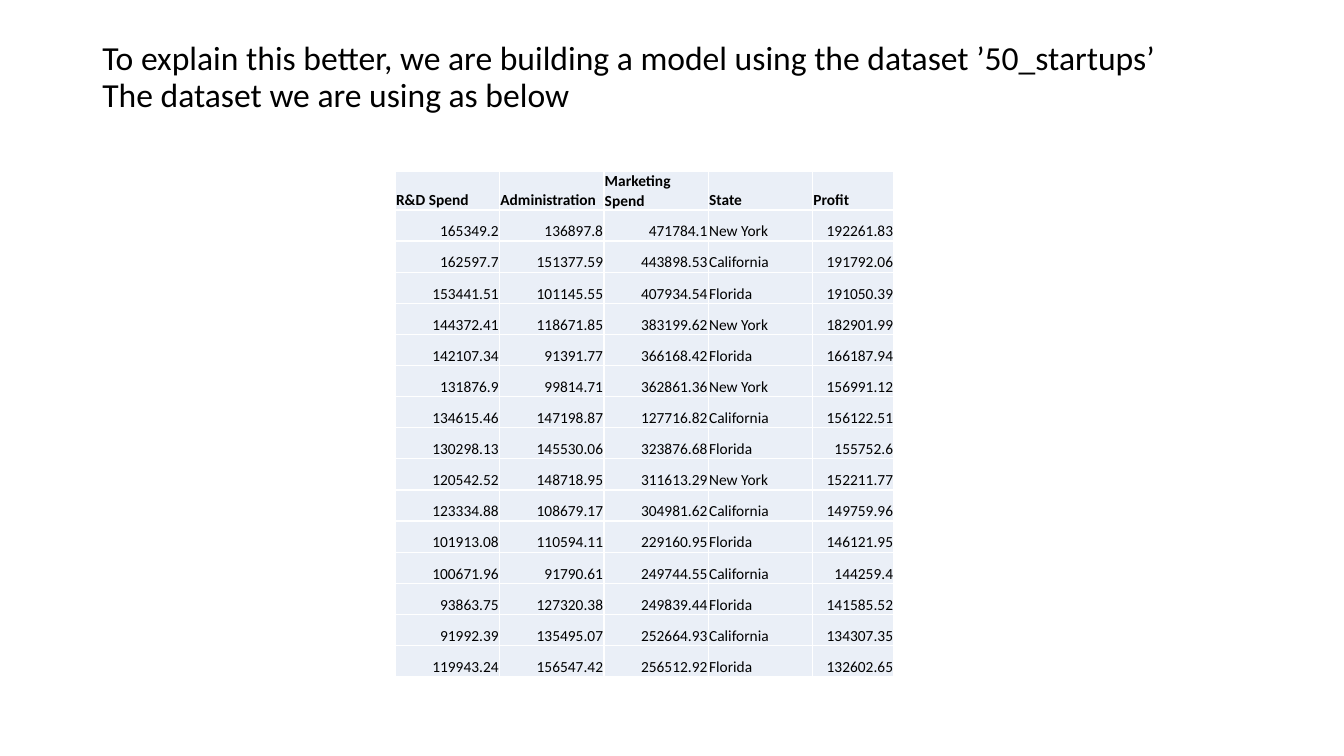
"""Build the slide that shows the 50_startups dataset as a table."""
from lxml import etree
from pptx import Presentation
from pptx.dml.color import RGBColor
from pptx.enum.text import MSO_ANCHOR, PP_ALIGN
from pptx.oxml.ns import qn
from pptx.util import Cm, Pt

TITLE_LINES = (
    "To explain this better, we are building a model using the dataset ’50_startups’",
    "The dataset we are using as below",
)
HEADERS = ("R&D Spend", "Administration", "Marketing Spend", "State", "Profit")
STARTUPS = (
    ("165349.2", "136897.8", "471784.1", "New York", "192261.83"),
    ("162597.7", "151377.59", "443898.53", "California", "191792.06"),
    ("153441.51", "101145.55", "407934.54", "Florida", "191050.39"),
    ("144372.41", "118671.85", "383199.62", "New York", "182901.99"),
    ("142107.34", "91391.77", "366168.42", "Florida", "166187.94"),
    ("131876.9", "99814.71", "362861.36", "New York", "156991.12"),
    ("134615.46", "147198.87", "127716.82", "California", "156122.51"),
    ("130298.13", "145530.06", "323876.68", "Florida", "155752.6"),
    ("120542.52", "148718.95", "311613.29", "New York", "152211.77"),
    ("123334.88", "108679.17", "304981.62", "California", "149759.96"),
    ("101913.08", "110594.11", "229160.95", "Florida", "146121.95"),
    ("100671.96", "91790.61", "249744.55", "California", "144259.4"),
    ("93863.75", "127320.38", "249839.44", "Florida", "141585.52"),
    ("91992.39", "135495.07", "252664.93", "California", "134307.35"),
    ("119943.24", "156547.42", "256512.92", "Florida", "132602.65"),
)
COLUMN_WIDTHS = (2.63, 2.63, 2.63, 2.63, 2.05)
TABLE_LEFT, TABLE_TOP, TABLE_HEIGHT = 9.96, 4.32, 12.73
HEADER_HEIGHT = 0.97
FONT = "Calibri"
BLACK, WHITE, PALE_BLUE = "000000", "FFFFFF", "EAEFF7"
LEFT, RIGHT = PP_ALIGN.LEFT, PP_ALIGN.RIGHT
MIDDLE, BOTTOM = MSO_ANCHOR.MIDDLE, MSO_ANCHOR.BOTTOM
STATE_COLUMN = HEADERS.index("State")


def color(value):
    return RGBColor.from_string(value)


def set_font(paragraph, size, bold=False):
    font = paragraph.font
    font.name, font.size, font.bold = FONT, Pt(size), bold
    font.color.rgb = color(BLACK)


def add_borders(cell):
    properties = cell._tc.get_or_add_tcPr()
    for side in ("a:lnL", "a:lnR", "a:lnT", "a:lnB"):
        line = etree.SubElement(properties, qn(side), w=str(Pt(1)))
        fill = etree.SubElement(line, qn("a:solidFill"))
        etree.SubElement(fill, qn("a:srgbClr"), val=WHITE)


def fill_cell(cell, text, align, bold):
    add_borders(cell)
    cell.fill.solid()
    cell.fill.fore_color.rgb = color(PALE_BLUE)
    cell.margin_left = cell.margin_right = cell.margin_top = Cm(0.02)
    cell.margin_bottom = 0
    cell.vertical_anchor = BOTTOM
    cell.text = text
    paragraph = cell.text_frame.paragraphs[0]
    paragraph.alignment = align
    set_font(paragraph, 11, bold)


def add_title(page):
    box = page.shapes.add_textbox(Cm(2.33), Cm(1.02), Cm(29.21), Cm(1.9))
    frame = box.text_frame
    frame.word_wrap = True
    frame.vertical_anchor = MIDDLE
    paragraph = frame.paragraphs[0]
    paragraph.line_spacing = 0.9
    set_font(paragraph, 24)
    first, second = TITLE_LINES
    paragraph.add_run().text = first
    paragraph.add_line_break()
    paragraph.add_run().text = second


def add_startup_table(page):
    rows = (HEADERS, *STARTUPS)
    row_height = (TABLE_HEIGHT - HEADER_HEIGHT) / len(STARTUPS)
    table = page.shapes.add_table(
        len(rows), len(HEADERS), Cm(TABLE_LEFT), Cm(TABLE_TOP),
        Cm(sum(COLUMN_WIDTHS)), Cm(TABLE_HEIGHT)).table
    table.first_row = table.horz_banding = False
    for column, width in zip(table.columns, COLUMN_WIDTHS):
        column.width = Cm(width)
    for row_index, values in enumerate(rows):
        is_header = row_index == 0
        table.rows[row_index].height = Cm(HEADER_HEIGHT if is_header else row_height)
        for column_index, value in enumerate(values):
            align = LEFT if is_header or column_index == STATE_COLUMN else RIGHT
            fill_cell(table.cell(row_index, column_index), value, align, is_header)


def main():
    deck = Presentation()
    deck.slide_width, deck.slide_height = Cm(33.87), Cm(19.05)
    page = deck.slides.add_slide(deck.slide_layouts[6])
    add_title(page)
    add_startup_table(page)
    deck.save("out.pptx")


if __name__ == "__main__":
    main()
